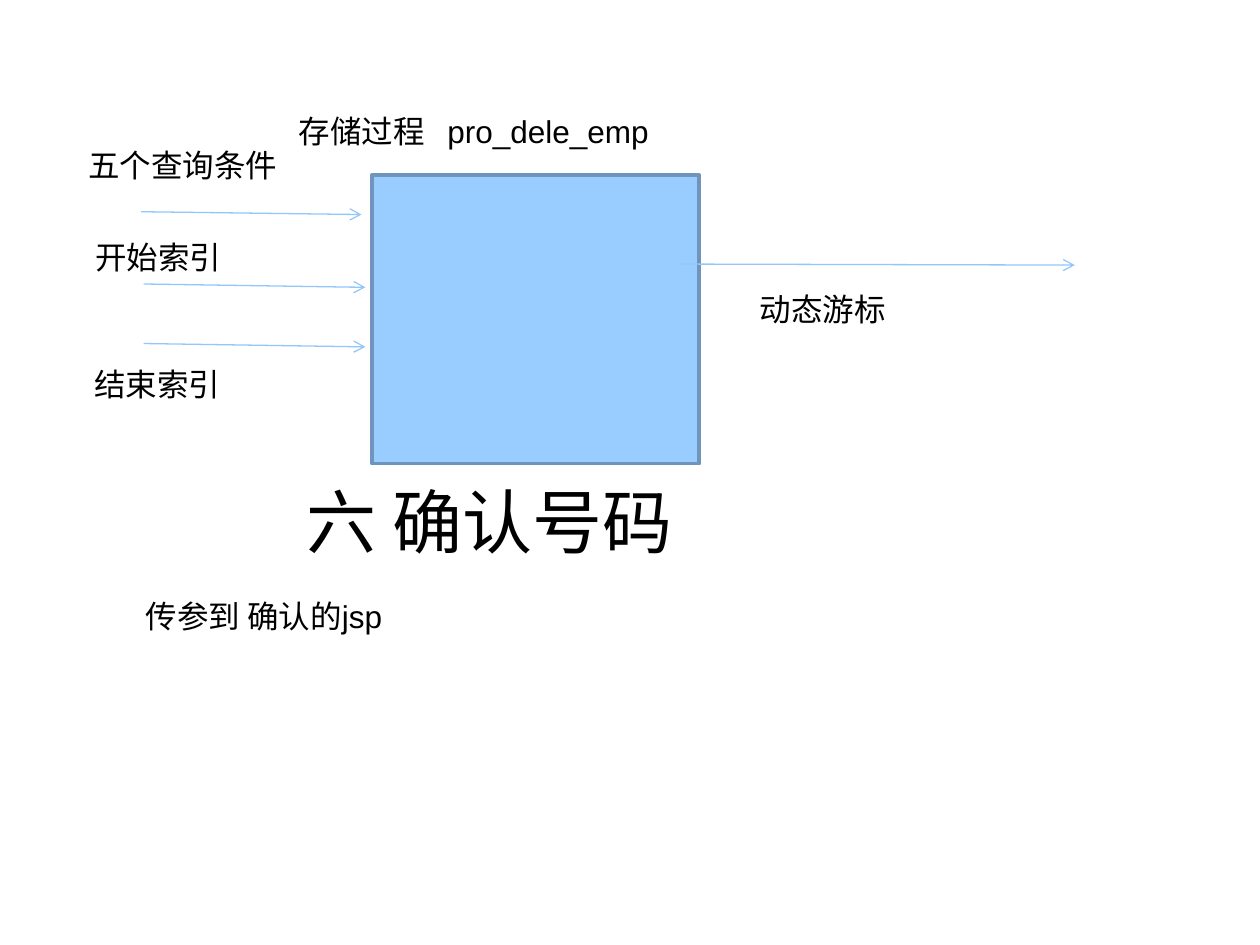
"""Build the slide on the stored procedure and the confirmation number."""
from dataclasses import dataclass

from lxml.etree import SubElement
from pptx import Presentation
from pptx.dml.color import RGBColor
from pptx.enum.shapes import MSO_CONNECTOR, MSO_SHAPE
from pptx.enum.text import MSO_ANCHOR, MSO_AUTO_SIZE, PP_ALIGN
from pptx.oxml.ns import qn
from pptx.slide import Slide
from pptx.text.text import TextFrame
from pptx.util import Pt

BLACK = RGBColor(0x00, 0x00, 0x00)
BOX_FILL = RGBColor(0x99, 0xCC, 0xFF)
BOX_LINE = RGBColor(0x6F, 0x95, 0xBC)
ARROW_LINE = RGBColor(0x93, 0xC7, 0xFC)
FONT = "Arial"
LABEL_HEIGHT = 28.8
NAME_TAB = 85


@dataclass(frozen=True)
class Label:
    text: str
    left: float
    top: float
    width: float


@dataclass(frozen=True)
class Arrow:
    start_x: float
    start_y: float
    end_x: float
    end_y: float


LABELS = [
    Label("存储过程\tpro_dele_emp", 163.6, 60.5, 330),
    Label("五个查询条件", 43.2, 80, 152.6),
    Label("开始索引", 47.5, 132.5, 160),
    Label("结束索引", 46.8, 205.2, 155),
    Label("动态游标", 427, 162, 227.5),
    Label("传参到 确认的jsp", 76.3, 337.7, 582),
]
ARROWS = [
    Arrow(80.6, 121, 206.6, 122.6),
    Arrow(82.1, 162.3, 208.8, 164.2),
    Arrow(82.1, 196.3, 208.8, 198.2),
    Arrow(388.1, 150.9, 614.2, 151.5),
]


def format_text(frame: TextFrame, size: float) -> None:
    for para in frame.paragraphs:
        for span in para.runs:
            span.font.name = FONT
            span.font.size = Pt(size)
            span.font.color.rgb = BLACK


def add_label(page: Slide, label: Label) -> None:
    box = page.shapes.add_textbox(
        Pt(label.left), Pt(label.top), Pt(label.width), Pt(LABEL_HEIGHT))
    frame = box.text_frame
    frame.word_wrap = True
    para = frame.paragraphs[0]
    para.text = label.text
    if "\t" in label.text:
        properties = para._p.get_or_add_pPr()
        stops = SubElement(properties, qn("a:tabLst"))
        SubElement(stops, qn("a:tab"), pos=str(Pt(NAME_TAB)), algn="l")
    format_text(frame, 18)


def add_arrow(page: Slide, arrow: Arrow) -> None:
    line = page.shapes.add_connector(
        MSO_CONNECTOR.STRAIGHT, Pt(arrow.start_x), Pt(arrow.start_y),
        Pt(arrow.end_x), Pt(arrow.end_y))
    line.line.color.rgb = ARROW_LINE
    line.line.width = Pt(0.75)
    SubElement(line.line._get_or_add_ln(), qn("a:tailEnd"), type="arrow")
    SubElement(line._element.spPr, qn("a:effectLst"))


def add_procedure_box(page: Slide) -> None:
    box = page.shapes.add_shape(
        MSO_SHAPE.RECTANGLE, Pt(212.6), Pt(100), Pt(187), Pt(165))
    box.shadow.inherit = False
    box.fill.solid()
    box.fill.fore_color.rgb = BOX_FILL
    box.line.color.rgb = BOX_LINE
    box.line.width = Pt(2)


def set_title(page: Slide, text: str) -> None:
    title = page.shapes.title
    title.left, title.top = Pt(0), Pt(270)
    title.width, title.height = Pt(559.4), Pt(55.4)
    frame = title.text_frame
    frame.text = text
    frame.auto_size = MSO_AUTO_SIZE.NONE
    frame.vertical_anchor = MSO_ANCHOR.TOP
    frame.paragraphs[0].alignment = PP_ALIGN.CENTER
    format_text(frame, 40)


def main() -> None:
    deck = Presentation()
    deck.slide_width, deck.slide_height = Pt(720), Pt(540)
    page = deck.slides.add_slide(deck.slide_layouts[5])
    set_title(page, "六 确认号码")
    add_procedure_box(page)
    for arrow in ARROWS:
        add_arrow(page, arrow)
    for label in LABELS:
        add_label(page, label)
    deck.save("out.pptx")


if __name__ == "__main__":
    main()
